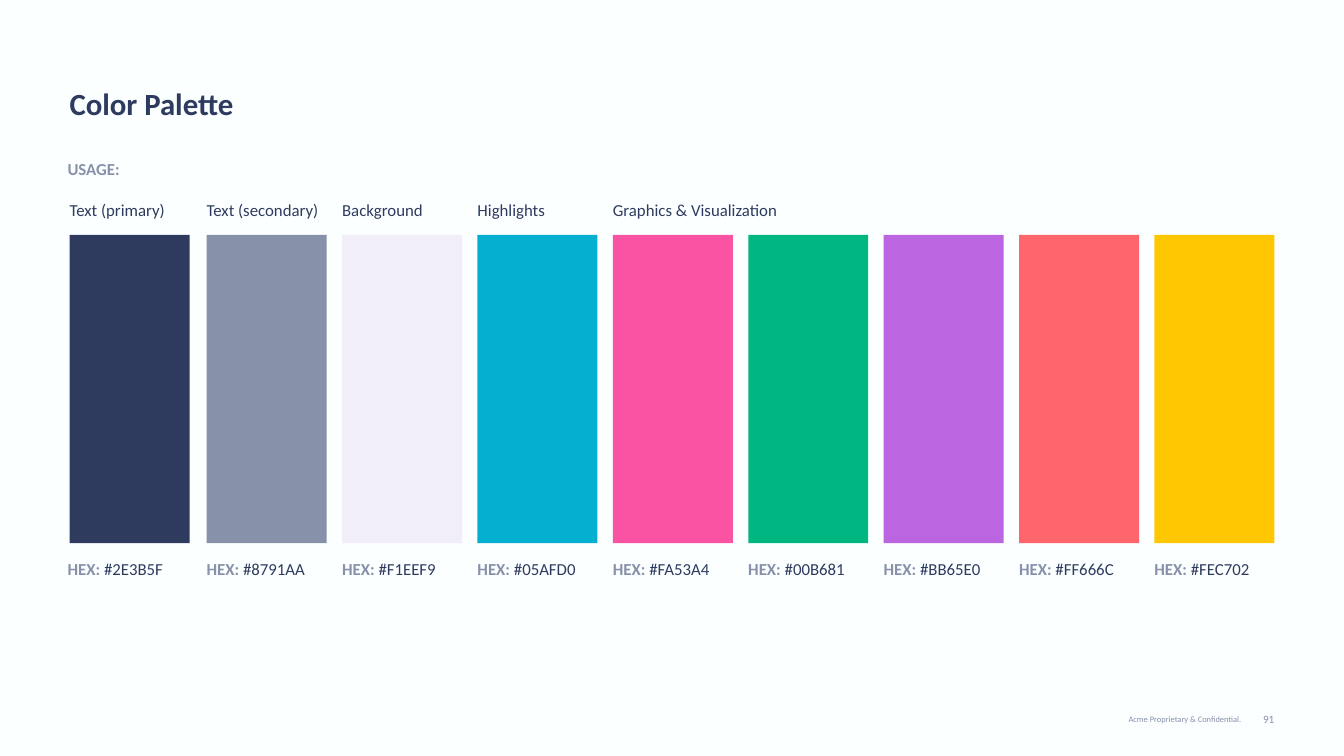
"""Build a colour palette slide with nine labelled swatches."""
from pptx import Presentation
from pptx.dml.color import RGBColor
from pptx.enum.shapes import MSO_SHAPE
from pptx.enum.text import MSO_ANCHOR, PP_ALIGN
from pptx.util import Inches, Pt

RECT = MSO_SHAPE.RECTANGLE
TOP, MIDDLE = MSO_ANCHOR.TOP, MSO_ANCHOR.MIDDLE
LEFT, RIGHT = PP_ALIGN.LEFT, PP_ALIGN.RIGHT

FONT = "Calibri"
COLORS = {"background": "FBFFFF", "primary": "2E3B5F", "secondary": "8791AA"}

TITLE = "Color Palette"
USAGE = "USAGE:"
FOOTER = "Acme Proprietary & Confidential."
PAGE = "91"
SWATCHES = [
    ("2E3B5F", "Text (primary)"),
    ("8791AA", "Text (secondary)"),
    ("F1EEF9", "Background"),
    ("05AFD0", "Highlights"),
    ("FA53A4", "Graphics & Visualization"),
    ("00B681", None),
    ("BB65E0", None),
    ("FF666C", None),
    ("FEC702", None),
]

MARGIN, LABEL_LEFT, RIGHT_EDGE = 0.69, 0.67, 12.64
SECOND_LEFT, LAST_LEFT = 2.05, 11.45
SWATCH_TOP, SWATCH_W, SWATCH_H = 2.33, 1.19, 3.06
USE_TOP, HEX_TOP = 1.93, 5.52
FOOTER_TOP, FOOTER_H = 7.01, 0.24


def rgb(value):
    return RGBColor.from_string(value)


def add_text(slide, box, runs, size, pad=0, spacing=None, align=LEFT, anchor=TOP):
    tf = slide.shapes.add_textbox(*map(Inches, box)).text_frame
    tf.word_wrap = True
    tf.vertical_anchor = anchor
    tf.margin_left = tf.margin_right = 0
    tf.margin_top = tf.margin_bottom = Inches(pad)
    p = tf.paragraphs[0]
    p.alignment = align
    p.line_spacing = spacing
    for text, color, bold in runs:
        r = p.add_run()
        r.text = text
        r.font.name = FONT
        r.font.size = Pt(size)
        r.font.bold = bold
        r.font.color.rgb = rgb(COLORS[color])


def add_swatch(slide, left, color):
    sp = slide.shapes.add_shape(RECT, *map(Inches, (left, SWATCH_TOP, SWATCH_W, SWATCH_H)))
    sp.shadow.inherit = False
    sp.fill.solid()
    sp.fill.fore_color.rgb = rgb(color)
    sp.line.fill.background()


def main():
    prs = Presentation()
    prs.slide_width, prs.slide_height = Inches(13.33), Inches(7.5)
    s = prs.slides.add_slide(prs.slide_layouts[6])
    s.background.fill.solid()
    s.background.fill.fore_color.rgb = rgb(COLORS["background"])

    add_text(s, (MARGIN, 0.79, RIGHT_EDGE - MARGIN, 0.37),
             [(TITLE, "primary", True)], 22, pad=0.05)
    add_text(s, (LABEL_LEFT, 1.56, 1.2, 0.2),
             [(USAGE, "secondary", True)], 12, spacing=1.1)

    pitch = (LAST_LEFT - SECOND_LEFT) / (len(SWATCHES) - 2)
    for i, (color, use) in enumerate(SWATCHES):
        left = SECOND_LEFT + (i - 1) * pitch if i else MARGIN
        add_swatch(s, left, color)
        add_text(s, (left if i else LABEL_LEFT, HEX_TOP, 1.2, 0.2),
                 [("HEX: ", "secondary", True), (f"#{color}", "primary", False)],
                 12, spacing=1.1)
        if use:
            is_group = SWATCHES[i + 1][1] is None
            width = RIGHT_EDGE - left if is_group else SWATCH_W
            add_text(s, (left, USE_TOP, width, 0.3),
                     [(use, "primary", False)], 12, pad=0.05)

    for text, left, width, size in [(FOOTER, 10.43, 1.88, 6), (PAGE, 12.37, 0.27, 8)]:
        add_text(s, (left, FOOTER_TOP, width, FOOTER_H),
                 [(text, "secondary", False)], size, align=RIGHT, anchor=MIDDLE)

    prs.save("out.pptx")


if __name__ == "__main__":
    main()
